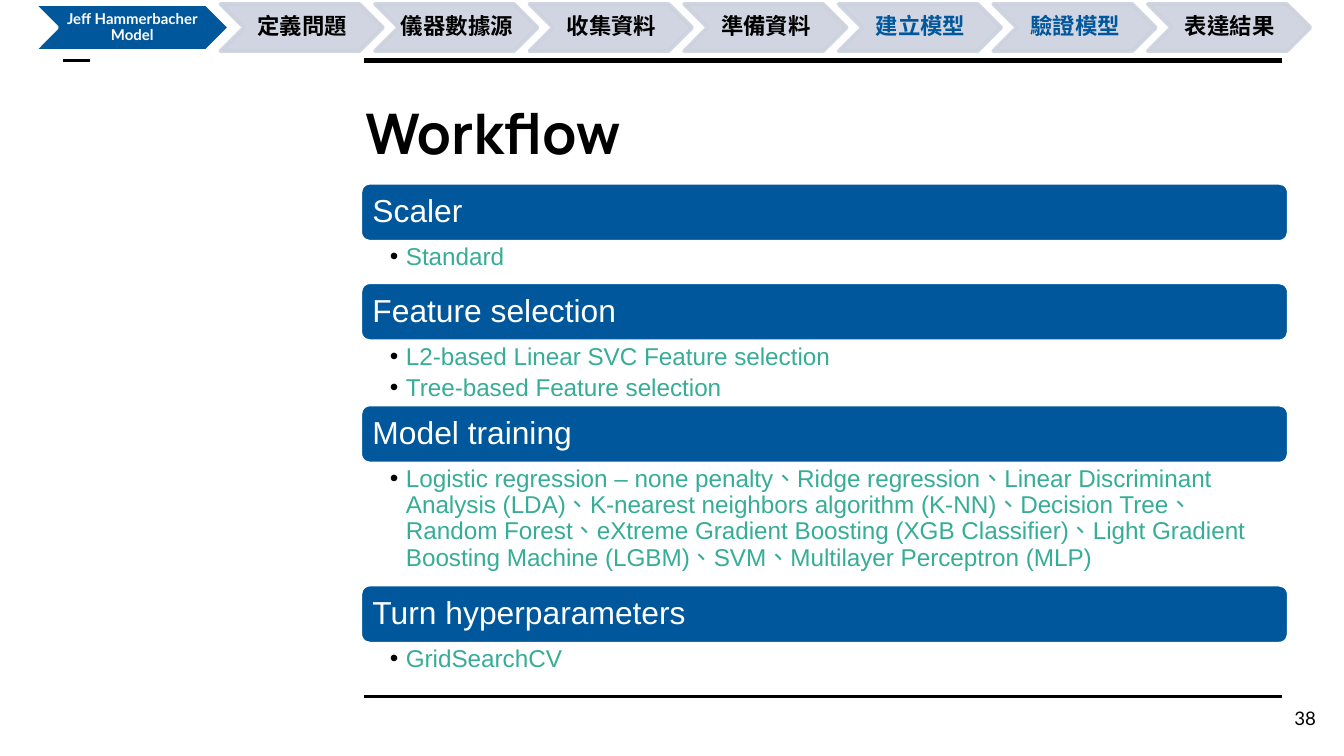
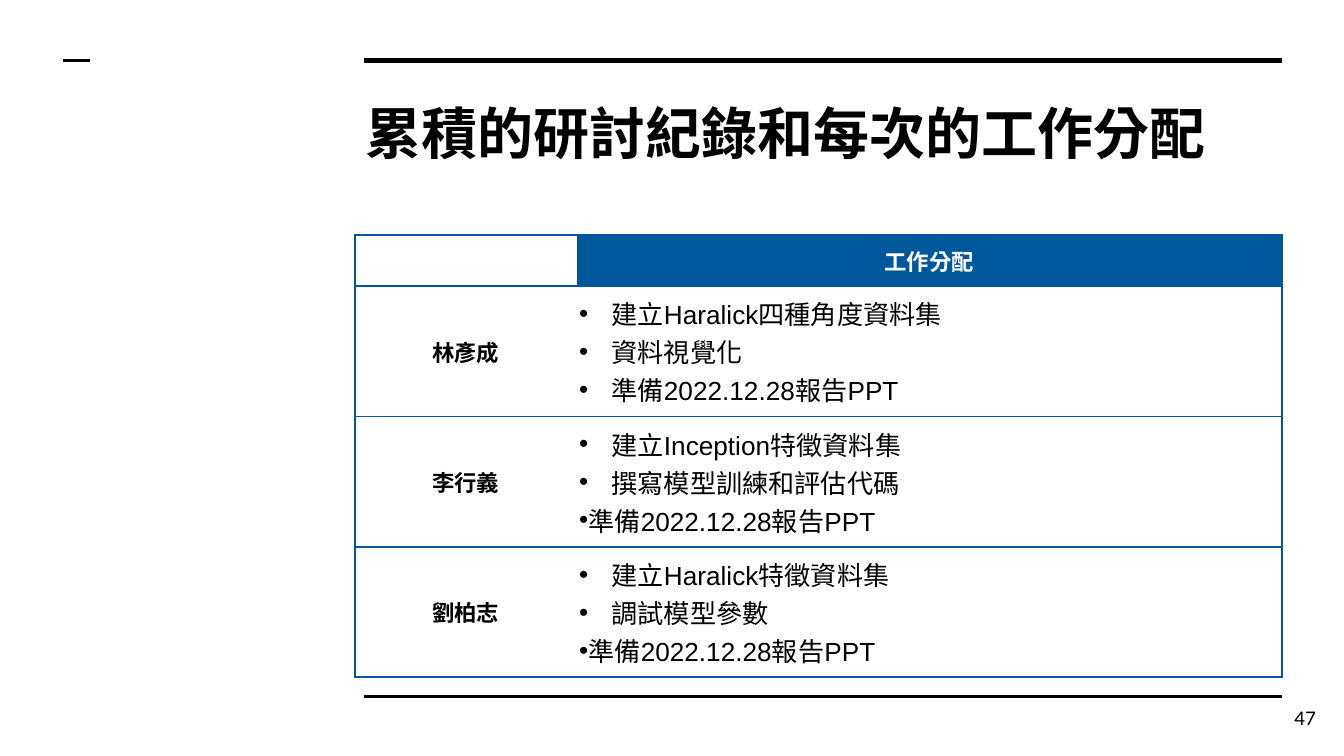
from dataclasses import dataclass
from typing import Optional

from lxml.etree import SubElement
from pptx import Presentation
from pptx.dml.color import RGBColor
from pptx.enum.shapes import MSO_CONNECTOR, MSO_SHAPE
from pptx.enum.text import MSO_ANCHOR, PP_ALIGN
from pptx.oxml.ns import qn
from pptx.oxml.xmlchemy import OxmlElement
from pptx.util import Inches, Pt

# Shared colours, fonts and language
BLUE, GREEN, GREY, BLACK, WHITE = "01579B", "36AD96", "CCD1DE", "000000", "FFFFFF"
TITLE_FONT, LABEL_FONT, BODY_FONT = "Manrope", "Lato", "Arial"
LANGUAGE = "zh-TW"


@dataclass(frozen=True)
class TextStyle:
    font: str
    size: float
    color: str = BLACK
    bold: bool = False
    align: PP_ALIGN = PP_ALIGN.LEFT
    line_spacing: Optional[float] = None
    space_after: float = 0


@dataclass(frozen=True)
class Rule:
    left: float
    right: float
    top: float
    weight: float


@dataclass(frozen=True)
class Step:
    label: str
    active: bool = False


@dataclass(frozen=True)
class Section:
    heading: str
    items: tuple[str, ...]
    body_height: float


@dataclass(frozen=True)
class Member:
    name: str
    tasks: tuple[str, ...]
    last_indent: float


TITLE = TextStyle(TITLE_FONT, 30, bold=True)
PAGE_NUMBER = TextStyle(LABEL_FONT, 10, align=PP_ALIGN.RIGHT)
HEADING = TextStyle(BODY_FONT, 17, WHITE, line_spacing=0.9)
ITEM = TextStyle(BODY_FONT, 13, GREEN, line_spacing=0.9, space_after=3)
TABLE_HEAD = TextStyle(BODY_FONT, 12, WHITE, True, PP_ALIGN.CENTER)
MEMBER_NAME = TextStyle(BODY_FONT, 12, BLACK, True, PP_ALIGN.CENTER)
TASK = TextStyle(BODY_FONT, 14)
TASK_INDENT = 0.24

RULES = (
    Rule(2.71, 9.54, 0.45, 3),
    Rule(2.71, 9.54, 5.18, 1.5),
    Rule(0.47, 0.67, 0.45, 1.5),
)
STEPS = (
    Step("定義問題"),
    Step("儀器數據源"),
    Step("收集資料"),
    Step("準備資料"),
    Step("建立模型", True),
    Step("驗證模型", True),
    Step("表達結果"),
)
SECTIONS = (
    Section("Scaler", ("Standard",), 0.3),
    Section(
        "Feature selection",
        ("L2-based Linear SVC Feature selection", "Tree-based Feature selection"),
        0.47,
    ),
    Section(
        "Model training",
        (
            "Logistic regression – none penalty、Ridge regression、"
            "Linear Discriminant Analysis (LDA)、"
            "K-nearest neighbors algorithm (K-NN)、Decision Tree、Random Forest、"
            "eXtreme Gradient Boosting (XGB Classifier)、"
            "Light Gradient Boosting Machine (LGBM)、SVM、"
            "Multilayer Perceptron (MLP)",
        ),
        0.9,
    ),
    Section("Turn hyperparameters", ("GridSearchCV",), 0.3),
)
REPORT = "準備2022.12.28報告PPT"
MEMBERS = (
    Member("林彥成", ("建立Haralick四種角度資料集", "資料視覺化", REPORT), TASK_INDENT),
    Member("李行義", ("建立Inception特徵資料集", "撰寫模型訓練和評估代碼", REPORT), 0),
    Member("劉柏志", ("建立Haralick特徵資料集", "調試模型參數", REPORT), 0),
)


def rgb(color: str) -> RGBColor:
    return RGBColor.from_string(color)


# Text helpers
def set_margins(target, left: float, top: float, right: float, bottom: float) -> None:
    target.margin_left, target.margin_top = Inches(left), Inches(top)
    target.margin_right, target.margin_bottom = Inches(right), Inches(bottom)


def add_bullet(paragraph, indent: float) -> None:
    properties = paragraph._p.get_or_add_pPr()
    properties.set("marL", str(Inches(indent)))
    properties.set("indent", str(-Inches(indent)))
    color = SubElement(properties, qn("a:buClr"))
    SubElement(color, qn("a:srgbClr"), val=BLACK)
    SubElement(properties, qn("a:buFont"), typeface=BODY_FONT)
    SubElement(properties, qn("a:buChar"), char="•")


def write_text(frame, lines, style: TextStyle, indents=None) -> None:
    for index, line in enumerate(lines):
        paragraph = frame.paragraphs[0] if index == 0 else frame.add_paragraph()
        if indents:
            add_bullet(paragraph, indents[index])
        paragraph.alignment = style.align
        if style.line_spacing:
            paragraph.line_spacing = style.line_spacing
        if style.space_after:
            paragraph.space_after = Pt(style.space_after)
        run = paragraph.add_run()
        run.text = line
        run.font.name = style.font
        run.font.size = Pt(style.size)
        run.font.bold = style.bold
        run.font.color.rgb = rgb(style.color)
        run._r.get_or_add_rPr().set("lang", LANGUAGE)


def add_text(slide, box, lines, style: TextStyle, margins=(0.1, 0.1, 0.1, 0.1),
             anchor=MSO_ANCHOR.TOP, indents=None) -> None:
    shape = slide.shapes.add_textbox(*map(Inches, box))
    frame = shape.text_frame
    frame.word_wrap = True
    frame.vertical_anchor = anchor
    set_margins(frame, *margins)
    write_text(frame, lines, style, indents)


def add_label_shape(slide, kind, box, fill: str, line: str, label: str,
                    style: TextStyle, margins, opacity: int = 100) -> None:
    shape = slide.shapes.add_shape(kind, *map(Inches, box))
    shape.shadow.inherit = False
    shape.fill.solid()
    shape.fill.fore_color.rgb = rgb(fill)
    shape.line.color.rgb = rgb(line)
    shape.line.width = Pt(2)
    if opacity < 100:
        for color in shape.element.spPr.iter(qn("a:srgbClr")):
            SubElement(color, qn("a:alpha"), val=str(opacity * 1000))
    frame = shape.text_frame
    frame.word_wrap = True
    frame.vertical_anchor = MSO_ANCHOR.MIDDLE
    set_margins(frame, *margins)
    write_text(frame, (label,), style)


# Frame shared by both slides
def add_framed_slide(presentation, title: str, page: int):
    slide = presentation.slides.add_slide(presentation.slide_layouts[6])
    slide.background.fill.solid()
    slide.background.fill.fore_color.rgb = rgb(WHITE)
    for rule in RULES:
        connector = slide.shapes.add_connector(
            MSO_CONNECTOR.STRAIGHT, Inches(rule.left), Inches(rule.top),
            Inches(rule.right), Inches(rule.top))
        connector.line.color.rgb = rgb(BLACK)
        connector.line.width = Pt(rule.weight)
        SubElement(connector.element.spPr, qn("a:effectLst"))
    add_text(slide, (2.62, 0.63, 6.91, 0.69), (title,), TITLE)
    add_text(slide, (9.29, 5.13, 0.6, 0.43), (str(page),), PAGE_NUMBER,
             anchor=MSO_ANCHOR.MIDDLE)
    return slide


# Workflow slide
def add_step_chain(slide) -> None:
    def step_style(size: float, color: str) -> TextStyle:
        return TextStyle(LABEL_FONT, size, color, True, PP_ALIGN.CENTER, 0.9)

    margins = (0.01, 0.01, 0, 0.01)
    add_label_shape(slide, MSO_SHAPE.CHEVRON, (0.25, 0.03, 1.46, 0.35), BLUE, WHITE,
                    "Jeff Hammerbacher Model", step_style(8, WHITE), margins)
    for index, step in enumerate(STEPS):
        add_label_shape(
            slide, MSO_SHAPE.CHEVRON, (1.64 + 1.15 * index, 0.03, 1.21, 0.35),
            GREY, GREY, step.label, step_style(12, BLUE if step.active else BLACK),
            margins, opacity=90)


def add_sections(slide) -> None:
    left, top, width, band_height = 2.68, 1.36, 6.91, 0.44
    for section in SECTIONS:
        add_label_shape(
            slide, MSO_SHAPE.ROUNDED_RECTANGLE, (left, top, width, band_height),
            BLUE, WHITE, section.heading, HEADING, (0.07, 0.07, 0.07, 0.07))
        top += band_height
        add_text(slide, (left, top, width, section.body_height), section.items, ITEM,
                 (0.22, 0.02, 0.13, 0.02), indents=[0.12] * len(section.items))
        top += section.body_height


# Work assignment table
def set_borders(cell, hidden_side: str) -> None:
    properties = cell._tc.get_or_add_tcPr()
    for index, side in enumerate("LRTB"):
        border = OxmlElement(f"a:ln{side}")
        border.set("w", str(Pt(1)))
        if side == hidden_side:
            SubElement(border, qn("a:noFill"))
        else:
            fill = SubElement(border, qn("a:solidFill"))
            SubElement(fill, qn("a:srgbClr"), val=BLUE)
        properties.insert(index, border)


def add_assignment_table(slide) -> None:
    widths = (1.65, 5.25)
    heights = (0.38,) + (0.97,) * len(MEMBERS)
    table = slide.shapes.add_table(
        len(heights), len(widths), Inches(2.64), Inches(1.75),
        Inches(sum(widths)), Inches(sum(heights))).table
    table.horz_banding = False
    for column, width in zip(table.columns, widths):
        column.width = Inches(width)
    for row, height in zip(table.rows, heights):
        row.height = Inches(height)
        for index, cell in enumerate(row.cells):
            set_margins(cell, 0.02, 0.02, 0.02, 0.02)
            cell.vertical_anchor = MSO_ANCHOR.MIDDLE
            cell.fill.solid()
            cell.fill.fore_color.rgb = rgb(WHITE)
            set_borders(cell, "RL"[index])

    header = table.cell(0, 1)
    header.fill.fore_color.rgb = rgb(BLUE)
    write_text(header.text_frame, ("工作分配",), TABLE_HEAD)
    for row_index, member in enumerate(MEMBERS, start=1):
        write_text(table.cell(row_index, 0).text_frame, (member.name,), MEMBER_NAME)
        write_text(table.cell(row_index, 1).text_frame, member.tasks, TASK,
                   (TASK_INDENT, TASK_INDENT, member.last_indent))


def main() -> None:
    presentation = Presentation()
    # Widescreen, 16:9
    presentation.slide_width = Inches(10)
    presentation.slide_height = Inches(10 * 9 / 16)

    workflow = add_framed_slide(presentation, "Workflow", 38)
    add_sections(workflow)
    add_step_chain(workflow)

    assignments = add_framed_slide(presentation, "累積的研討紀錄和每次的工作分配", 47)
    add_assignment_table(assignments)

    presentation.save("out.pptx")


if __name__ == "__main__":
    main()
